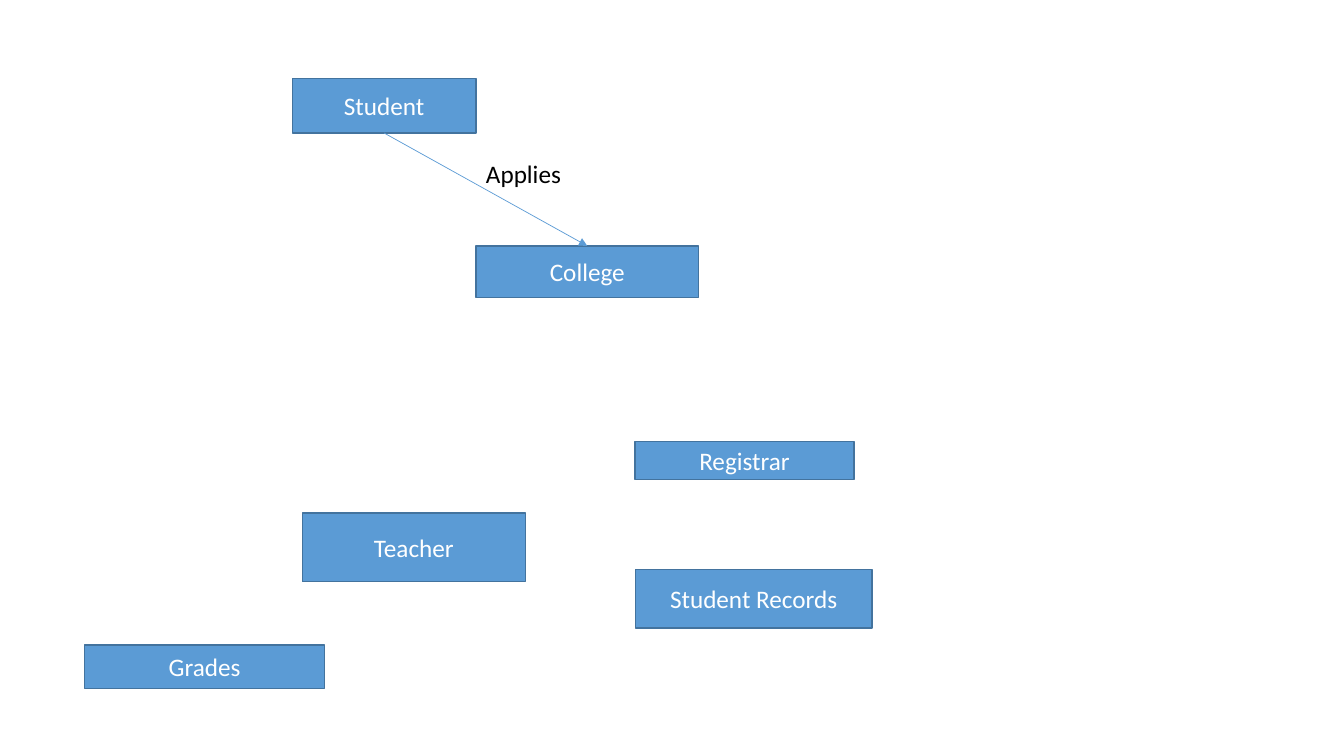
from lxml.etree import SubElement
from pptx import Presentation
from pptx.dml.color import RGBColor
from pptx.enum.shapes import MSO_CONNECTOR, MSO_SHAPE
from pptx.enum.text import MSO_ANCHOR, PP_ALIGN
from pptx.oxml.ns import qn
from pptx.util import Inches, Pt

BLUE = RGBColor(0x5B, 0x9B, 0xD5)
DARK_BLUE = RGBColor(0x43, 0x73, 0x9E)
WHITE = RGBColor(0xFF, 0xFF, 0xFF)
BLACK = RGBColor(0x00, 0x00, 0x00)

BOTTOM, TOP = 2, 0  # connection sites

# Entity name: left, top, width, height in inches
ENTITIES = {
    "Student": (2.9, 0.78, 1.82, 0.54),
    "College": (4.72, 2.44, 2.21, 0.51),
    "Registrar": (6.3, 4.38, 2.17, 0.38),
    "Teacher": (3, 5.09, 2.21, 0.68),
    "Student Records": (6.3, 5.65, 2.35, 0.58),
    "Grades": (0.84, 6.4, 2.38, 0.43),
}
APPLIES_BOX = (4.39, 1.52, 1.73, 0.4)


def write(frame, text, color, align):
    frame.text = text
    frame.word_wrap = True
    paragraph = frame.paragraphs[0]
    paragraph.alignment = align
    font = paragraph.runs[0].font
    font.name = "Calibri"
    font.size = Pt(18)
    font.color.rgb = color


def add_entity(slide, name, box):
    entity = slide.shapes.add_shape(
        MSO_SHAPE.FLOWCHART_PROCESS, *map(Inches, box))
    entity.shadow.inherit = False
    entity.fill.solid()
    entity.fill.fore_color.rgb = BLUE
    entity.line.color.rgb = DARK_BLUE
    entity.line.width = Pt(1)
    entity.text_frame.vertical_anchor = MSO_ANCHOR.MIDDLE
    write(entity.text_frame, name, WHITE, PP_ALIGN.CENTER)
    return entity


def add_relation(slide, source, target, label, label_box):
    # Arrow from the source's bottom to the target's top
    arrow = slide.shapes.add_connector(MSO_CONNECTOR.STRAIGHT, 0, 0, 0, 0)
    arrow.begin_connect(source, BOTTOM)
    arrow.end_connect(target, TOP)
    arrow.line.color.rgb = BLUE
    arrow.line.width = Pt(0.5)
    SubElement(arrow.line._get_or_add_ln(), qn("a:tailEnd"), type="triangle")
    SubElement(arrow._element.spPr, qn("a:effectLst"))

    # Label, indented to clear the arrow
    caption = slide.shapes.add_textbox(*map(Inches, label_box))
    caption.text_frame.margin_left = Inches(0.43)
    write(caption.text_frame, label, BLACK, PP_ALIGN.LEFT)


def build_diagram(slide):
    entities = {name: add_entity(slide, name, box)
                for name, box in ENTITIES.items()}
    add_relation(slide, entities["Student"], entities["College"],
                 "Applies", APPLIES_BOX)


def main():
    deck = Presentation()
    deck.slide_width = Inches(13.33)
    deck.slide_height = Inches(7.5)
    build_diagram(deck.slides.add_slide(deck.slide_layouts[6]))
    deck.save("out.pptx")


if __name__ == "__main__":
    main()
